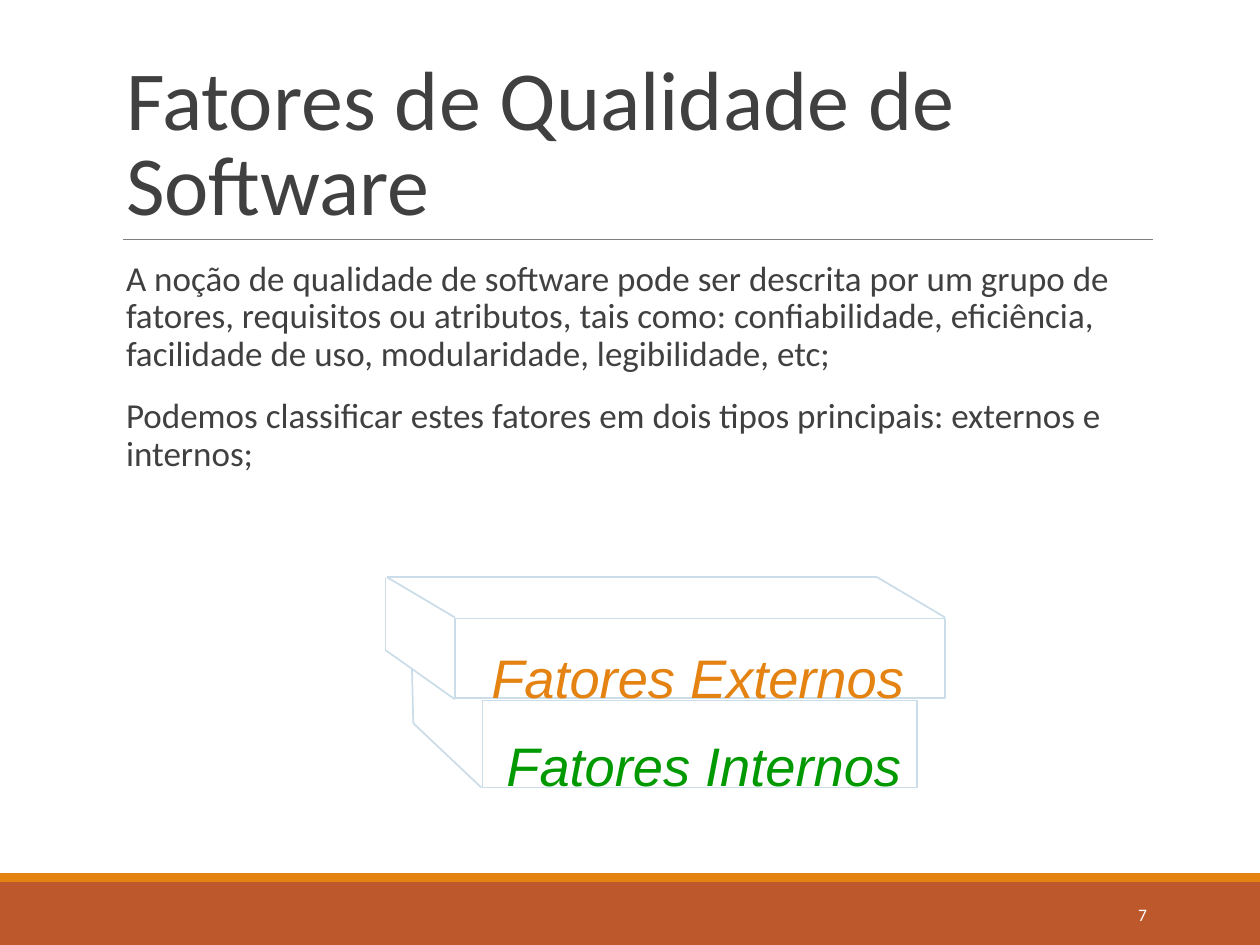
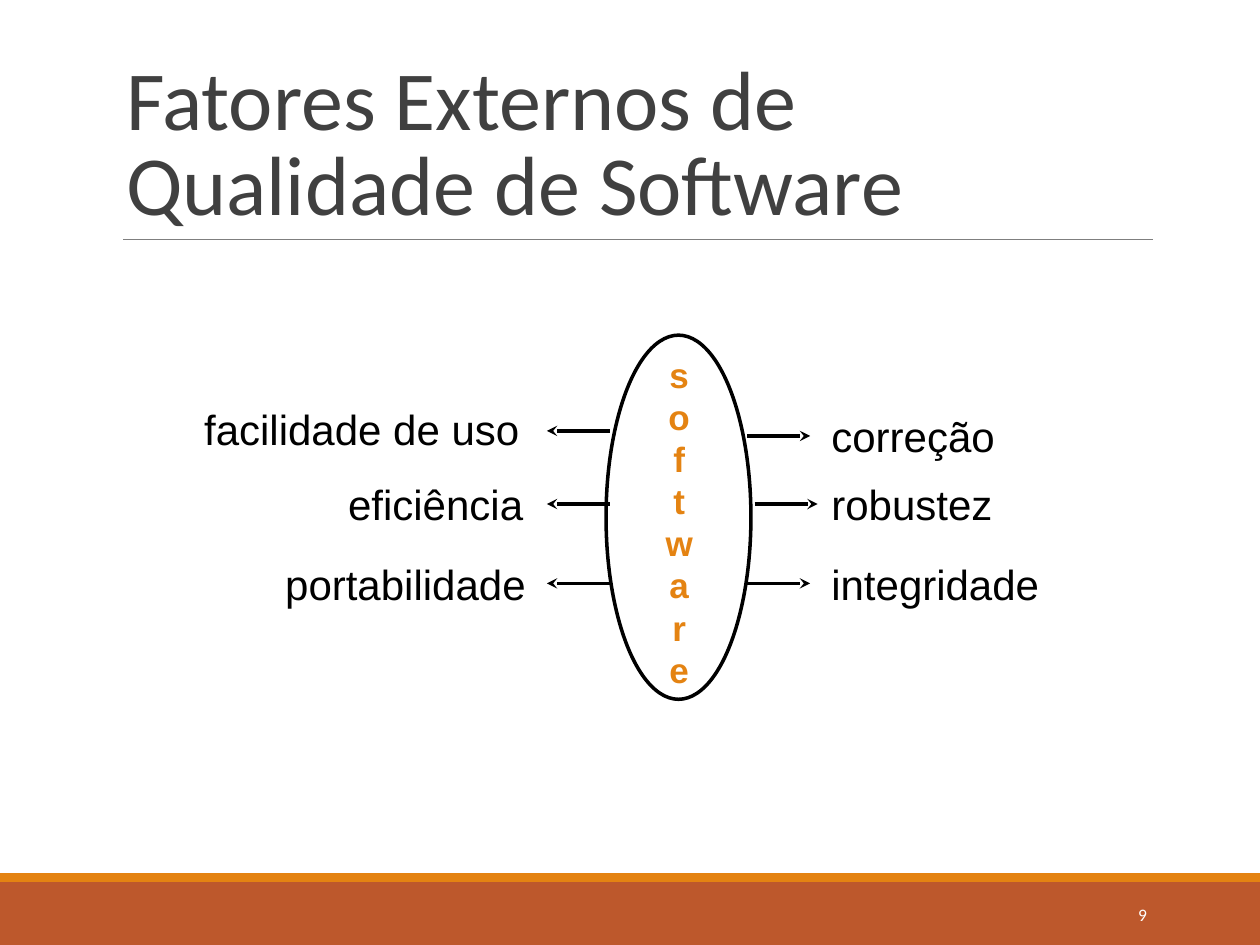
"""Build two slides on the factors of software quality."""
import pptx
import pptx.util
import pptx.dml.color
import pptx.enum.shapes
import pptx.enum.text
import pptx.oxml.ns
import lxml.etree

Inches, Pt = pptx.util.Inches, pptx.util.Pt
ALIGN = pptx.enum.text.PP_ALIGN
ANCHOR = pptx.enum.text.MSO_ANCHOR
SHAPE = pptx.enum.shapes.MSO_SHAPE

RUST, ORANGE, GRAY, DARK = "BD582C", "E48312", "7F7F7F", "404040"
PALE, GREEN, BLACK, WHITE = "CCDDEA", "009900", "000000", "FFFFFF"

TITLE = {"name": "Calibri", "size": Pt(48), "color": DARK}
BODY = {"name": "Calibri", "size": Pt(20), "color": DARK}
PAGE = {"name": "Calibri", "size": Pt(10), "color": WHITE}
BLOCK = {"name": "Arial", "size": Pt(31), "italic": True}
WORD = {"name": "Arial", "size": Pt(20), "bold": True, "color": ORANGE}
LABEL = {"name": "Arial", "size": Pt(24), "color": BLACK}

BANDS = [((0, 7, 10, 0.5), RUST), ((0, 6.93, 10, 0.07), ORANGE)]
POINTS = [
    "A noção de qualidade de software pode ser descrita por um grupo de "
    "fatores, requisitos ou atributos, tais como: confiabilidade, "
    "eficiência, facilidade de uso, modularidade, legibilidade, etc;",
    "Podemos classificar estes fatores em dois tipos principais: "
    "externos e internos;",
]
FRONTS = [(3.61, 4.91, 3.89, 0.63), (3.83, 5.56, 3.45, 0.69)]
EDGES = [
    [(7.5, 4.9), (6.96, 4.58), (3.07, 4.58), (3.61, 4.9)],
    [(3.06, 4.59), (3.06, 5.16), (3.61, 5.55)],
    [(3.82, 6.25), (3.28, 5.74), (3.27, 5.31)],
]
NAMES = [
    ("Fatores Internos", (3.89, 5.74, 3.6, 0.65), GREEN),
    ("Fatores Externos", (3.77, 5.04, 3.6, 0.65), ORANGE),
]
LEFT = [
    ("facilidade de uso", 4.22, 3.15, 3.42),
    ("eficiência", 4.25, 3.75, 4),
    ("portabilidade", 4.27, 4.38, 4.63),
]
RIGHT = [
    ("correção", 5.93, 3.21, 3.46),
    ("robustez", 5.99, 3.75, 4),
    ("integridade", 5.93, 4.38, 4.63),
]


def tint(code):
    """Turn a hex string into a colour."""
    return pptx.dml.color.RGBColor.from_string(code)


def style(font, form):
    """Set the font from a dict of format values."""
    for key, value in form.items():
        if key == "color":
            font.color.rgb = tint(value)
        else:
            setattr(font, key, value)


def child(node, tag, **attrs):
    """Add a drawing element under a node."""
    return lxml.etree.SubElement(node, pptx.oxml.ns.qn(tag), attrs)


def place(shape, box):
    """Move a shape to a box in inches."""
    for key, value in zip(("left", "top", "width", "height"), box):
        setattr(shape, key, Inches(value))


def shape(slide, kind, box, fill=None, edge=None, width=1):
    """Draw a preset shape."""
    item = slide.shapes.add_shape(kind, *map(Inches, box))
    item.shadow.inherit = False
    if fill:
        item.fill.solid()
        item.fill.fore_color.rgb = tint(fill)
    else:
        item.fill.background()
    if edge:
        item.line.color.rgb = tint(edge)
        item.line.width = Pt(width)
    else:
        item.line.fill.background()


def line(slide, start, end, color, width=1, arrow=False):
    """Draw a straight line or an arrow."""
    kind = pptx.enum.shapes.MSO_CONNECTOR.STRAIGHT
    item = slide.shapes.add_connector(kind, *map(Inches, start + end))
    item.line.color.rgb = tint(color)
    item.line.width = Pt(width)
    if arrow:
        child(item.line._get_or_add_ln(), "a:tailEnd", type="stealth")
    child(item._element.spPr, "a:effectLst")


def text(slide, box, lines, form, align=ALIGN.LEFT, pad=(0.1, 0.05),
         anchor=ANCHOR.TOP):
    """Add a text box with one paragraph a line."""
    frame = slide.shapes.add_textbox(*map(Inches, box)).text_frame
    values = {
        "word_wrap": True, "vertical_anchor": anchor,
        "margin_left": Inches(pad[0]), "margin_right": Inches(pad[0]),
        "margin_top": Inches(pad[1]), "margin_bottom": Inches(pad[1]),
    }
    for key, value in values.items():
        setattr(frame, key, value)
    frame.text = "\n".join(lines)
    for para in frame.paragraphs:
        para.alignment = align
        style(para.font, form)


def start(deck, layout, title, page):
    """Add a slide with its bands, rule, title and number."""
    slide = deck.slides.add_slide(deck.slide_layouts[layout])
    for box, fill in BANDS:
        shape(slide, SHAPE.RECTANGLE, box, fill)
    line(slide, (0.98, 1.9), (9.15, 1.9), GRAY, 0.5)
    head = slide.shapes.title
    place(head, (0.9, 0.31, 8.25, 1.59))
    frame = head.text_frame
    frame.text = title
    frame.vertical_anchor = ANCHOR.BOTTOM
    frame.auto_size = pptx.enum.text.MSO_AUTO_SIZE.NONE
    para = frame.paragraphs[0]
    para.alignment, para.line_spacing = ALIGN.LEFT, 0.85
    style(para.font, TITLE)
    text(slide, (8.12, 7.06, 1.08, 0.4), [page], PAGE, ALIGN.RIGHT,
         anchor=ANCHOR.MIDDLE)
    return slide


def points(slide):
    """Fill the body placeholder."""
    body = slide.placeholders[1]
    place(body, (0.9, 2.02, 8.25, 4.4))
    frame = body.text_frame
    frame.margin_left = frame.margin_right = 0
    frame.auto_size = pptx.enum.text.MSO_AUTO_SIZE.NONE
    frame.text = "\n".join(POINTS)
    for rank, para in enumerate(frame.paragraphs):
        props = para._p.get_or_add_pPr()
        props.set("marL", str(Inches(0.1)))
        props.set("indent", str(-Inches(0.1)))
        child(child(props, "a:buClr"), "a:srgbClr", val=ORANGE)
        child(props, "a:buChar", char=" ")
        para.line_spacing = 0.9
        para.space_before = Pt(12 if rank else 0)
        para.space_after = Pt(2)
        style(para.font, BODY)


def blocks(slide):
    """Draw the two stacked blocks."""
    for box in FRONTS:
        shape(slide, SHAPE.RECTANGLE, box, edge=PALE)
    for chain in EDGES:
        for pair in zip(chain, chain[1:]):
            line(slide, *pair, PALE)
    for name, box, color in NAMES:
        text(slide, box, [name], {**BLOCK, "color": color}, pad=(0.13, 0.07))


def factors(slide):
    """Draw the ellipse with its arrows and labels."""
    shape(slide, SHAPE.OVAL, (4.81, 2.66, 1.15, 2.89), WHITE, BLACK, 2)
    text(slide, (5.2, 2.76, 0.38, 2.77), "software", WORD, ALIGN.CENTER,
         pad=(0, 0.05))
    for name, end, top, mid in LEFT:
        text(slide, (end - 2.75, top, 2.75, 0.5), [name], LABEL, ALIGN.RIGHT)
        line(slide, (4.84, mid), (4.34, mid), BLACK, 2, True)
    for name, tip, top, mid in RIGHT:
        text(slide, (6.5, top, 2.4, 0.5), [name], LABEL)
        line(slide, (tip, mid), (tip + 0.5, mid), BLACK, 2, True)


def main():
    """Build and save the deck."""
    deck = pptx.Presentation()
    deck.slide_width, deck.slide_height = Inches(10), Inches(7.5)
    slide = start(deck, 1, "Fatores de Qualidade de Software", "7")
    points(slide)
    blocks(slide)
    factors(start(deck, 5, "Fatores Externos de Qualidade de Software", "9"))
    deck.save("out.pptx")


if __name__ == "__main__":
    main()
